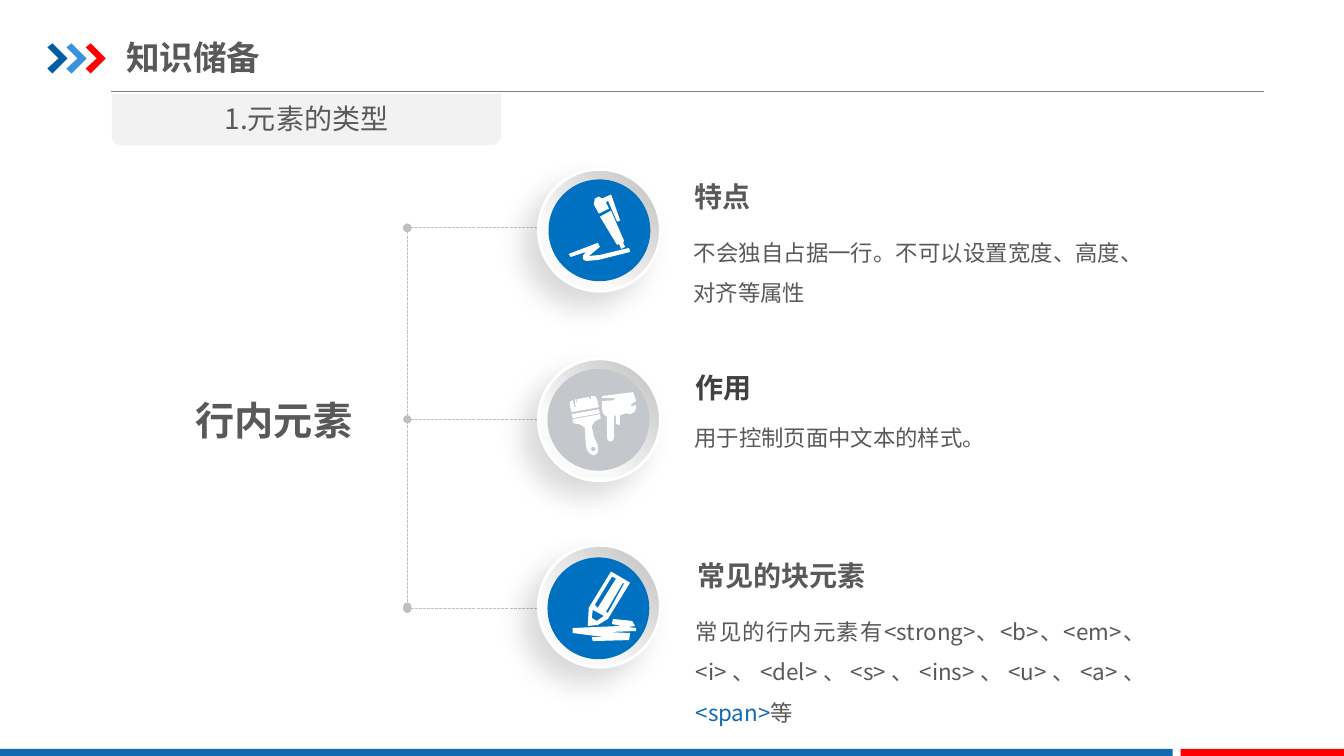
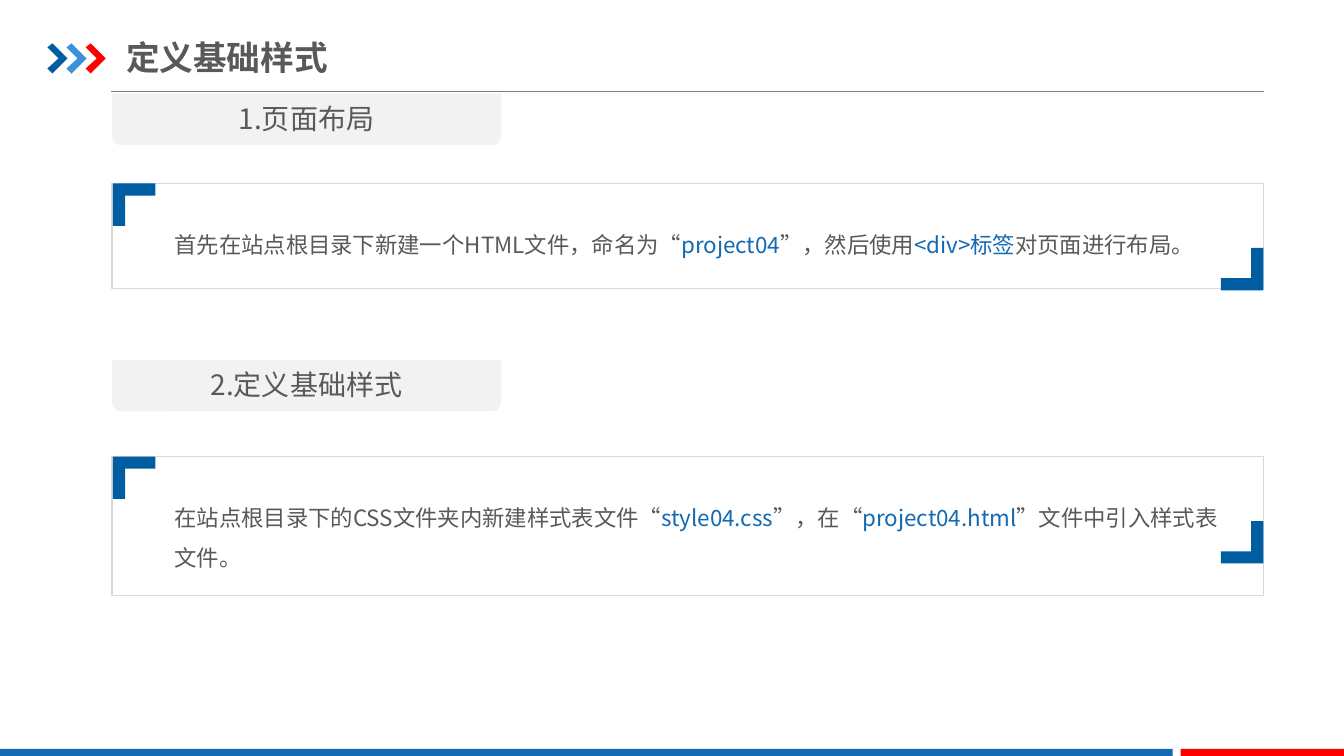
from lxml import etree
from pptx import Presentation
from pptx.dml.color import RGBColor
from pptx.enum.dml import MSO_LINE
from pptx.enum.shapes import MSO_CONNECTOR, MSO_SHAPE
from pptx.enum.text import MSO_ANCHOR, MSO_AUTO_SIZE, PP_ALIGN
from pptx.oxml.ns import qn
from pptx.util import Inches, Pt

RECT, OVAL = MSO_SHAPE.RECTANGLE, MSO_SHAPE.OVAL
TAB = MSO_SHAPE.ROUND_2_SAME_RECTANGLE
STRAIGHT, SYS_DASH = MSO_CONNECTOR.STRAIGHT, MSO_LINE.SQUARE_DOT
LEFT, CENTER, JUSTIFY = PP_ALIGN.LEFT, PP_ALIGN.CENTER, PP_ALIGN.JUSTIFY
TOP, MIDDLE = MSO_ANCHOR.TOP, MSO_ANCHOR.MIDDLE

FONT = "Noto Sans CJK SC"
COLORS = {
    "text": "595959", "dark": "404040", "accent": "1369B2", "red": "FF0000",
    "navy": "005DA2", "sky": "3992DB", "disc": "0070C0", "gray_disc": "C4C7CB",
    "tab": "F2F2F2", "border": "D9D9D9", "link": "BFBFBF", "rule": "808080",
    "pale": "FAFAFA", "white": "FFFFFF", "black": "000000",
}

# Outlines, in hundredths of an inch
CHEVRON = [(0, 4), (5, 0), (20, 15), (5, 30), (0, 25), (11, 15)]
CORNER = [(0, 0), (42, 0), (42, 12), (12, 12), (12, 42), (0, 42)]
PEN = [
    [(595, 215), (606, 209), (619, 239), (618, 241), (620, 245), (616, 247),
     (614, 242), (612, 243)],
    [(564, 252), (566, 255), (581, 250), (578, 254), (578, 257), (581, 259),
     (593, 258), (625, 250), (624, 246), (595, 253), (584, 254), (595, 245),
     (593, 241)],
    [(597, 197), (594, 195), (590, 197), (589, 203), (594, 212), (604, 207),
     (601, 201), (603, 199), (612, 220), (615, 219), (607, 195), (606, 193),
     (604, 194)],
]
BRUSHES = [
    [(615, 412), (615, 420), (614, 422), (611, 420), (611, 411), (609, 414),
     (609, 434), (608, 437), (605, 438), (603, 437), (602, 434), (602, 414),
     (598, 410), (597, 405), (597, 398), (609, 397), (610, 395), (597, 395),
     (597, 393), (628, 389), (631, 398), (626, 401), (626, 403), (631, 402),
     (631, 405), (629, 409), (625, 411), (621, 410)],
    [(567, 411), (594, 406), (595, 410), (568, 415)],
    [(595, 411), (568, 416), (569, 420), (575, 421), (580, 424), (581, 440),
     (582, 446), (585, 450), (589, 452), (593, 449), (593, 442), (589, 433),
     (587, 423), (590, 418), (596, 415)],
    [(587, 443), (590, 444), (591, 445), (590, 447), (588, 448), (586, 446)],
    [(594, 404), (592, 395), (590, 393), (586, 393), (586, 397), (584, 394),
     (572, 396), (573, 403), (571, 396), (570, 397), (571, 404), (570, 404),
     (568, 397), (565, 399), (565, 401), (567, 409)],
]
PENCIL = [
    [(606, 567), (625, 578), (603, 614), (593, 620), (583, 621), (584, 603)],
    [(624, 635), (625, 628), (604, 627), (631, 626), (631, 623), (623, 622),
     (630, 621), (627, 616), (608, 614), (607, 619), (616, 621), (568, 623),
     (568, 628), (599, 632), (587, 632), (588, 636)],
    [(592, 616), (599, 611), (588, 605), (587, 613)],
    [(618, 578), (601, 607), (603, 608), (619, 579)],
    [(607, 572), (590, 600), (593, 603), (611, 574)],
]

# Content; text is a list of (words, colour) pieces
INLINE_TITLE, INLINE_TAB, INLINE_TOPIC = "知识储备", "1.元素的类型", "行内元素"
INLINE_ROWS = [
    dict(heading="特点", heading_color="text", heading_at=(6.89, 1.78),
         body=[("不会独自占据一行。不可以设置宽度、高度、对齐等属性", "text")],
         body_at=(6.88, 2.24), body_height=0.81, spacing=1.5,
         link_y=2.26, ring_top=1.68, disc_at=(5.44, 1.78), disc="disc", icon=PEN),
    dict(heading="作用", heading_color="dark", heading_at=(6.9, 3.68),
         body=[("用于控制页面中文本的样式。", "text")],
         body_at=(6.89, 4.15), body_height=0.3, spacing=1.2,
         link_y=4.16, ring_top=3.56, disc_at=(5.43, 3.66), disc="gray_disc",
         icon=BRUSHES),
    dict(heading="常见的块元素", heading_color="text", heading_at=(6.92, 5.54),
         body=[("常见的行内元素有<strong>、<b>、<em>、<i>、<del>、<s>、<ins>、<u>、<a>、",
                "text"), ("<span>", "accent"), ("等", "text")],
         body_at=(6.9, 6), body_height=1.16, spacing=1.5,
         link_y=6.04, ring_top=5.41, disc_at=(5.43, 5.53), disc="disc", icon=PENCIL),
]
STYLE_TITLE = "定义基础样式"
STYLE_STEPS = [
    dict(tab="1.页面布局", tab_top=0.93, frame_top=1.82, frame_height=1.04,
         body=[("首先在站点根目录下新建一个HTML文件，命名为“", "text"),
               ("project04", "accent"), ("”，然后使用", "text"),
               ("<div>标签", "accent"), ("对页面进行布局。", "text")]),
    dict(tab="2.定义基础样式", tab_top=3.57, frame_top=4.53, frame_height=1.38,
         body=[("在站点根目录下的CSS文件夹内新建样式表文件“", "text"),
               ("style04.css", "accent"), ("”，在“", "text"),
               ("project04.html", "accent"), ("”文件中引入样式表文件。", "text")]),
]


def rgb(name):
    return RGBColor.from_string(COLORS[name])


def write(shape, pieces, size, bold=False, align=LEFT, anchor=TOP, spacing=None,
          margins=(0, 0, 0, 0)):
    """Fill a shape with one paragraph of coloured pieces."""
    frame = shape.text_frame
    frame.word_wrap, frame.auto_size = True, MSO_AUTO_SIZE.NONE
    frame.vertical_anchor = anchor
    (frame.margin_left, frame.margin_top, frame.margin_right,
     frame.margin_bottom) = map(Inches, margins)
    paragraph = frame.paragraphs[0]
    paragraph.alignment = align
    if spacing:
        paragraph.line_spacing = spacing
    base = pieces[0][1]
    font = paragraph.font
    font.size, font.bold, font.name = Pt(size), bold, FONT
    font.color.rgb = rgb(base)
    defaults = paragraph._p.pPr.find(qn("a:defRPr"))
    etree.SubElement(defaults, qn("a:ea"), typeface=FONT)
    for words, color in pieces:
        run = paragraph.add_run()
        run.text = words
        if color != base:
            run.font.color.rgb = rgb(color)


def add_text(slide, at, size_in, pieces, size, **style):
    box = slide.shapes.add_textbox(*map(Inches, (*at, *size_in)))
    write(box, pieces, size, **style)


def paint(shape, fill=None, line=None, width=1):
    shape.shadow.inherit = False
    if fill:
        shape.fill.solid()
        shape.fill.fore_color.rgb = rgb(fill)
    else:
        shape.fill.background()
    if line:
        shape.line.color.rgb = rgb(line)
        shape.line.width = Pt(width)
    else:
        shape.line.fill.background()


def add_shape(slide, kind, x, y, w, h, fill=None, line=None, width=1):
    shape = slide.shapes.add_shape(kind, *map(Inches, (x, y, w, h)))
    paint(shape, fill, line, width)
    return shape


def add_outline(slide, contours, fill, x=0, y=0, sign=1):
    """Draw closed contours from the point x, y; sign -1 turns them by 180°."""
    placed = [[(round(x * 100) + sign * dx, round(y * 100) + sign * dy)
               for dx, dy in contour] for contour in contours]
    builder = slide.shapes.build_freeform(*placed[0][0], scale=Inches(0.01))
    for i, contour in enumerate(placed):
        if i:
            builder.move_to(*contour[0])
        builder.add_line_segments(contour[1:], close=True)
    paint(builder.convert_to_shape(), fill)


def add_line(slide, start, end, color, dotted_ends=False):
    connector = slide.shapes.add_connector(STRAIGHT, *map(Inches, (*start, *end)))
    connector.line.color.rgb = rgb(color)
    connector.line.width = Pt(0.75)
    properties = connector._element.spPr
    if dotted_ends:
        connector.line.dash_style = SYS_DASH
        for tag in ("a:headEnd", "a:tailEnd"):
            etree.SubElement(properties.find(qn("a:ln")), qn(tag), type="oval")
    etree.SubElement(properties, qn("a:effectLst"))


def add_ring(slide, top):
    """Shaded ring with a soft shadow to the lower left."""
    ring = add_shape(slide, OVAL, 5.34, top, 1.21, 1.21, "white", "white", 2)
    ring.fill.gradient()
    ring.fill.gradient_angle = 225
    for stop, color, position in zip(ring.fill.gradient_stops,
                                     ("link", "pale"), (0, 0.7)):
        stop.color.rgb = rgb(color)
        stop.position = position
    effects = ring._element.spPr.find(qn("a:effectLst"))
    shadow = etree.SubElement(
        effects, qn("a:outerShdw"), blurRad=str(Pt(20)), dist=str(Pt(15)),
        dir=str(135 * 60000), algn="tr", rotWithShape="0")
    tint = etree.SubElement(shadow, qn("a:srgbClr"), val=COLORS["black"])
    etree.SubElement(tint, qn("a:alpha"), val="15000")


def add_tab(slide, words, top=0.93):
    tab = add_shape(slide, TAB, 1.11, top, 3.86, 0.51, "tab")
    tab.adjustments[0], tab.adjustments[1] = 0, 0.17
    write(tab, [(words, "text")], 20, align=CENTER, anchor=MIDDLE)


def new_slide(prs, title):
    """Slide with the shared title, rule, chevrons and bottom bands."""
    slide = prs.slides.add_slide(prs.slide_layouts[5])
    add_line(slide, (1.1, 0.91), (12.54, 0.91), "rule")
    for i, color in enumerate(("navy", "sky", "red")):
        add_outline(slide, [CHEVRON], color, 0.47 + 0.19 * i, 0.43)
    add_shape(slide, RECT, 0, 7.43, 11.63, 0.09, "accent")
    add_shape(slide, RECT, 11.71, 7.43, 1.63, 0.09, "red")
    heading = slide.shapes.title
    heading.left, heading.top, heading.width, heading.height = map(
        Inches, (1.25, 0.29, 4.26, 0.55))
    write(heading, [(title, "text")], 24, bold=True, anchor=MIDDLE,
          margins=(0, 0.07, 0, 0.07))
    return slide


def build_inline_slide(prs):
    slide = new_slide(prs, INLINE_TITLE)
    add_tab(slide, INLINE_TAB)
    add_text(slide, (1.94, 3.93), (1.76, 0.6), [(INLINE_TOPIC, "text")], 28, bold=True)
    # Bracket from the topic to the three rows
    trunk = 4.04
    for row in INLINE_ROWS:
        add_line(slide, (5.98, row["link_y"]), (trunk, row["link_y"]), "link", True)
    add_line(slide, (trunk, 2.26), (trunk, 6.02), "link", True)
    # Badges and their texts
    for row in INLINE_ROWS:
        add_ring(slide, row["ring_top"])
        add_shape(slide, OVAL, *row["disc_at"], 1.01, 1.01, row["disc"])
        add_outline(slide, row["icon"], "white")
        add_text(slide, row["heading_at"], (2.17, 0.36),
                 [(row["heading"], row["heading_color"])], 20, bold=True)
        add_text(slide, row["body_at"], (4.46, row["body_height"]), row["body"], 16,
                 align=JUSTIFY, spacing=row["spacing"])


def build_style_slide(prs):
    slide = new_slide(prs, STYLE_TITLE)
    for step in STYLE_STEPS:
        top = step["frame_top"]
        add_tab(slide, step["tab"], step["tab_top"])
        frame = add_shape(slide, RECT, 1.11, top, 11.42, step["frame_height"],
                          line="border")
        write(frame, step["body"], 16, spacing=1.5, margins=(0.62, 0.34, 0.43, 0))
        add_outline(slide, [CORNER], "navy", 1.12, top)
        add_outline(slide, [CORNER], "navy", 12.53, top + 1.06, sign=-1)


def main():
    prs = Presentation()
    prs.slide_width, prs.slide_height = Inches(13.33), Inches(7.5)
    build_inline_slide(prs)
    build_style_slide(prs)
    prs.save("out.pptx")


if __name__ == "__main__":
    main()
